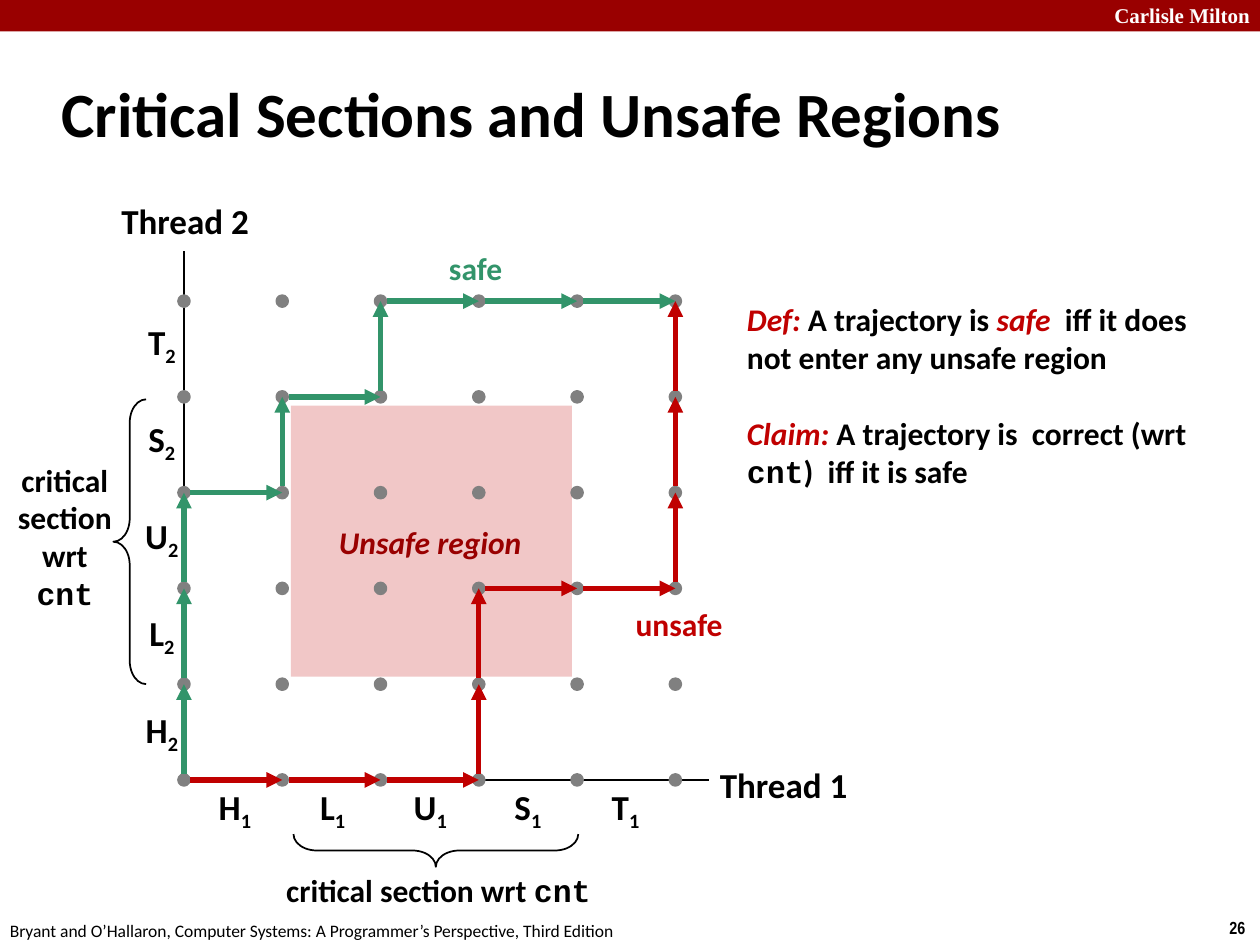
from dataclasses import dataclass

from lxml import etree
from pptx import Presentation
from pptx.dml.color import RGBColor
from pptx.enum.shapes import MSO_CONNECTOR, MSO_SHAPE
from pptx.enum.text import MSO_ANCHOR, PP_ALIGN
from pptx.oxml.ns import qn
from pptx.util import Inches, Pt

LEFT, CENTER, RIGHT = PP_ALIGN.LEFT, PP_ALIGN.CENTER, PP_ALIGN.RIGHT
TOP, MIDDLE = MSO_ANCHOR.TOP, MSO_ANCHOR.MIDDLE
STRAIGHT = MSO_CONNECTOR.STRAIGHT
RECT, OVAL, BRACE = MSO_SHAPE.RECTANGLE, MSO_SHAPE.OVAL, MSO_SHAPE.LEFT_BRACE


@dataclass(frozen=True)
class Theme:
    ink: str = "000000"
    white: str = "FFFFFF"
    maroon: str = "990000"
    red: str = "C00000"
    green: str = "32946A"
    pink: str = "F1C7C7"
    dot: str = "808080"
    body: str = "Calibri"
    code: str = "Courier New"
    serif: str = "Times New Roman"
    narrow: str = "Arial Narrow"
    title_size: int = 36
    label_size: int = 20
    body_size: int = 18
    brand_size: int = 12
    footer_size: int = 10


T = Theme()
CODE = {"name": T.code}
TERM = {"color": T.red, "italic": True}
STEPS = {"R": (1, 0), "U": (0, 1)}


def add_text(slide, box, paragraphs, size=T.body_size, align=LEFT, anchor=TOP,
             wrap=False, space_after=0, **base):
    """Each paragraph is a list of (text, format) runs; base applies to all."""
    tf = slide.shapes.add_textbox(*map(Inches, box)).text_frame
    tf.word_wrap, tf.vertical_anchor = wrap, anchor
    for i, runs in enumerate(paragraphs):
        p = tf.add_paragraph() if i else tf.paragraphs[0]
        p.alignment, p.space_after = align, Pt(space_after)
        for text, extra in runs:
            r = p.add_run()
            r.text = text
            fmt = {"name": T.body, "size": Pt(size), "bold": True,
                   "color": T.ink, **base, **extra}
            r.font.color.rgb = RGBColor.from_string(fmt.pop("color"))
            baseline = fmt.pop("baseline", None)
            for key, value in fmt.items():
                setattr(r.font, key, value)
            if baseline:
                r.font._element.set("baseline", str(baseline))
    return tf


def add_shape(slide, kind, box, fill=None, line=None, width=1):
    sp = slide.shapes.add_shape(kind, *map(Inches, box))
    sp.shadow.inherit = False
    if fill:
        sp.fill.solid()
        sp.fill.fore_color.rgb = RGBColor.from_string(fill)
    else:
        sp.fill.background()
    if line:
        sp.line.color.rgb = RGBColor.from_string(line)
        sp.line.width = Pt(width)
    else:
        sp.line.fill.background()
    return sp


def add_line(slide, start, end, color, width=1, arrow=False):
    cx = slide.shapes.add_connector(STRAIGHT, *map(Inches, (*start, *end)))
    cx.line.color.rgb = RGBColor.from_string(color)
    cx.line.width = Pt(width)
    if arrow:
        etree.SubElement(cx.line._get_or_add_ln(), qn("a:tailEnd"), type="triangle")
    etree.SubElement(cx._element.spPr, qn("a:effectLst"))


def add_brace(slide, box, rotation=0):
    sp = add_shape(slide, BRACE, box, line=T.ink)
    sp.adjustments[0] = 0.715
    sp.rotation = rotation


def add_frame(slide, width, height):
    """Header band and footer of the slide."""
    add_shape(slide, RECT, (0, 0, width, 0.25), T.maroon)
    add_text(slide, (width - 1.41, -0.03, 1.43, 0.3), [[("Carlisle Milton", {})]],
             T.brand_size, RIGHT, wrap=True, name=T.serif, color=T.white)
    add_text(slide, (width - 0.34, height - 0.27, 0.34, 0.27), [[("26", {})]],
             T.footer_size, name=T.narrow)
    add_text(slide, (-0.02, height - 0.25, 5.08, 0.27),
             [[("Bryant and O’Hallaron, Computer Systems: "
                "A Programmer’s Perspective, Third Edition", {})]],
             T.footer_size, bold=False)


def add_trajectory(slide, node, path, color, gap=0.05):
    """Arrows between neighbouring nodes, R for right and U for up."""
    col = row = 0
    for step in path:
        dx, dy = STEPS[step]
        x, y = node(col, row)
        col, row = col + dx, row + dy
        add_line(slide, (x + gap * dx, y - gap * dy), node(col, row), color, 3, True)


def add_progress_graph(slide, left, bottom, step_x, step_y, count=6):
    """Progress graph of two threads with its origin at left, bottom."""
    def node(col, row):
        return left + col * step_x, bottom - row * step_y

    def at(dx, dy, w, h):
        return left + dx, bottom + dy, w, h

    def label(box, runs, size=T.body_size, wrap=False, **fmt):
        add_text(slide, box, [runs], size, CENTER, MIDDLE, wrap, **fmt)

    add_shape(slide, RECT, at(0.85, -2.97, 2.23, 2.15), T.pink)
    add_line(slide, (left, bottom), (left + 4.17, bottom), T.ink)
    add_line(slide, (left, bottom), (left, bottom - 4.2), T.ink)
    label(at(4.15, -0.18, 1.22, 0.44), [("Thread 1", {})], T.label_size)
    label(at(-0.6, -4.66, 1.22, 0.44), [("Thread 2", {})], T.label_size)

    for i, name in enumerate("HLUST"):
        for thread, x, y in (("1", 0.17 + 0.775 * i, 0.01),
                             ("2", -0.41, -0.6 - 0.77 * i)):
            label(at(x, y, 0.47, 0.44),
                  [(name, {}), (thread, {"baseline": -25000})], T.label_size)

    for col in range(count):
        for row in range(count):
            x, y = node(col, row)
            add_shape(slide, OVAL, (x - 0.04, y - 0.04, 0.08, 0.08), T.dot, T.dot, 2)

    critical = [("critical section wrt ", {}), ("cnt", CODE)]
    add_brace(slide, at(-0.56, -3.02, 0.26, 2.26))
    add_brace(slide, at(1.87, -0.57, 0.26, 2.26), 270)
    label(at(0.7, 0.67, 2.64, 0.4), critical)
    label(at(-left, -2.59, 1.03, 1.31), critical, wrap=True)
    label(at(1.12, -2.09, 1.67, 0.4), [("Unsafe region", {})],
          color=T.maroon, italic=True)

    add_trajectory(slide, node, "RRRUURRUUU", T.red)
    label(at(3.48, -1.44, 0.9, 0.4), [("unsafe", {})], color=T.red)
    add_trajectory(slide, node, "UUURURURRR", T.green)
    label(at(2, -4.26, 0.63, 0.4), [("safe", {})], color=T.green)


def add_definitions(slide, box):
    tf = add_text(slide, box, [
        [("Def: ", TERM), ("A trajectory is ", {}), ("safe  ", TERM),
         ("iff it does not enter any unsafe region", {})],
        [("Claim: ", TERM), ("A trajectory is  correct (wrt ", {}),
         ("cnt", CODE), (")  iff it is safe", {})],
    ], wrap=True, space_after=22)
    tf.margin_top = tf.margin_bottom = 0


def main():
    prs = Presentation()
    prs.slide_width, prs.slide_height = Inches(10), Inches(7.5)
    slide = prs.slides.add_slide(prs.slide_layouts[6])
    add_frame(slide, 10, 7.5)
    add_text(slide, (0.39, 0.48, 8.3, 0.83),
             [[("Critical Sections and Unsafe Regions", {})]],
             T.title_size, anchor=MIDDLE, wrap=True)
    add_progress_graph(slide, 1.46, 6.19, 0.78, 0.76)
    add_definitions(slide, (5.83, 2.38, 3.83, 1.82))
    prs.save("out.pptx")


if __name__ == "__main__":
    main()
